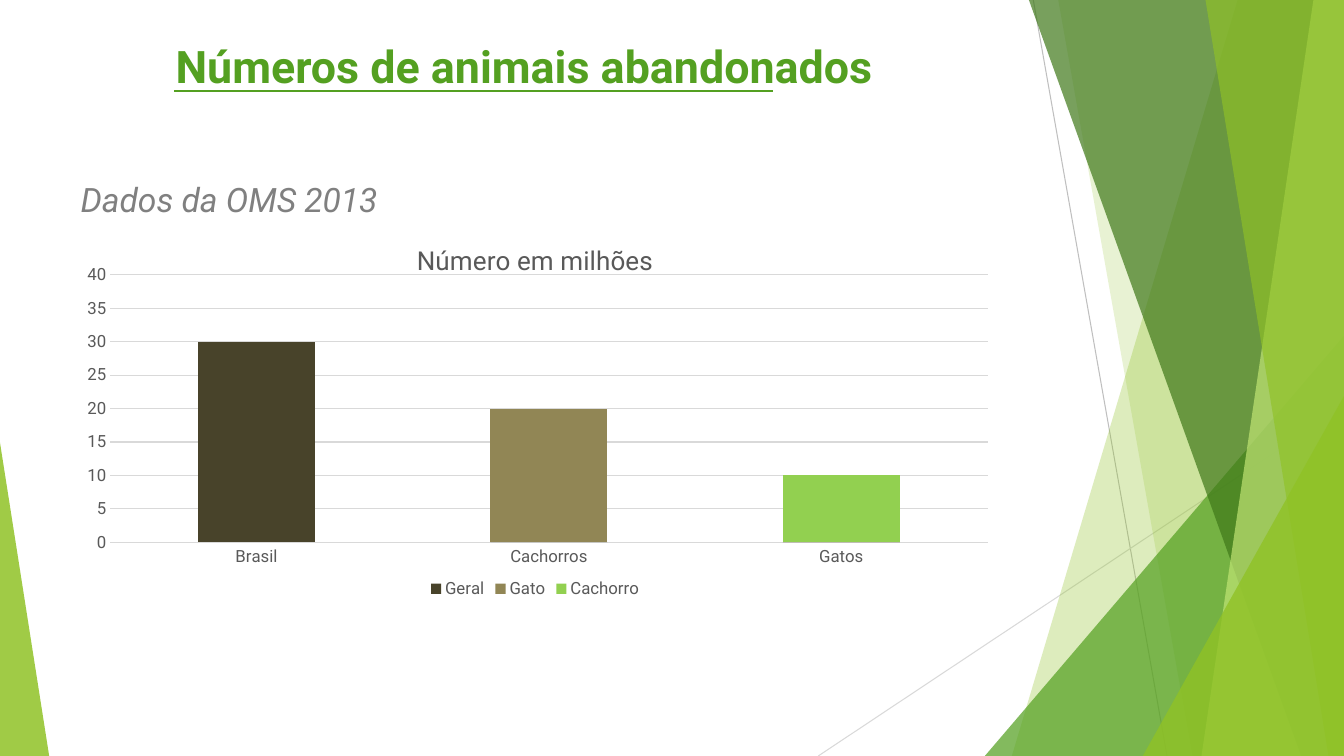
import dataclasses

import pptx
import pptx.chart.data
import pptx.dml.color
import pptx.enum.chart
import pptx.enum.shapes
import pptx.enum.text
import pptx.oxml
import pptx.oxml.ns
import pptx.util

Cm, Pt = pptx.util.Cm, pptx.util.Pt
WIDE, HIGH = 33.87, 19.05
FONT = "Roboto"
LIME, GREEN, GREY, PALE = "90C226", "54A021", "595959", "D9D9D9"


@dataclasses.dataclass
class Shard:
    top: float
    foot: float
    hue: str
    alpha: int


@dataclasses.dataclass
class Wedge:
    left: float
    top: float
    width: float
    tip: float
    hue: str
    alpha: int


@dataclasses.dataclass
class Rule:
    start: tuple[float, float]
    end: tuple[float, float]
    hue: str
    weight: float


RULES = [
    Rule((26.04, 0), (29.41, HIGH), "BFBFBF", 0.75),
    Rule((WIDE, 10.24), (20.62, HIGH), PALE, 0.75),
]
FACETS = [
    Shard(31.19, 25.5, LIME, 30),
    Shard(26.67, 30.05, LIME, 20),
    Wedge(24.82, 8.46, 9.05, 1, GREEN, 72),
    Shard(25.93, 32.79, "3F7819", 70),
    Shard(33.1, 30.28, "C0E474", 70),
    Shard(30.38, 33.48, LIME, 65),
    Wedge(28.8, 9.98, 5.07, 1, LIME, 80),
    Wedge(0, 11.15, 1.24, 0, LIME, 85),
]
SERIES = [
    ("Geral", (30, 0, 0), "48432A"),
    ("Gato", (0, 20, 0), "918655"),
    ("Cachorro", (0, 0, 10), "92D050"),
]


def paint(form, hue: str) -> None:
    form.solid()
    form.fore_color.rgb = pptx.dml.color.RGBColor.from_string(hue)


def style(font, size: float, hue: str) -> None:
    font.name, font.size = FONT, Pt(size)
    font.bold = font.italic = False
    paint(font.fill, hue)


def add_rule(slide, rule: Rule) -> None:
    ends = [Cm(n) for n in rule.start + rule.end]
    line = slide.shapes.add_connector(pptx.enum.shapes.MSO_CONNECTOR.STRAIGHT, *ends)
    paint(line.line.fill, rule.hue)
    line.line.width = Pt(rule.weight)
    pptx.oxml.ns.qn("a:effectLst")
    props = line.element.xpath("p:spPr")[0]
    props.append(props.makeelement(pptx.oxml.ns.qn("a:effectLst"), {}))


def add_facet(slide, facet: Shard | Wedge) -> None:
    if isinstance(facet, Shard):
        rest = [(WIDE, 0), (WIDE, HIGH), (facet.foot, HIGH)]
        pen = slide.shapes.build_freeform(Cm(facet.top), 0)
        pen.add_line_segments([(Cm(x), Cm(y)) for x, y in rest])
        shape = pen.convert_to_shape()
    else:
        shape = slide.shapes.add_shape(
            pptx.enum.shapes.MSO_SHAPE.ISOSCELES_TRIANGLE,
            Cm(facet.left), Cm(facet.top), Cm(facet.width), Cm(HIGH - facet.top))
        shape.adjustments[0] = facet.tip
    shape.shadow.inherit = False
    shape.line.fill.background()
    paint(shape.fill, facet.hue)
    tint = shape.element.xpath("p:spPr/a:solidFill/a:srgbClr")[0]
    alpha = tint.makeelement(pptx.oxml.ns.qn("a:alpha"), {"val": str(facet.alpha * 1000)})
    tint.append(alpha)


def write(shape, text: str, size: float, hue: str):
    frame = shape.text_frame
    frame.word_wrap = True
    frame.auto_size = pptx.enum.text.MSO_AUTO_SIZE.NONE
    frame.vertical_anchor = pptx.enum.text.MSO_ANCHOR.TOP
    frame.text = text
    para = frame.paragraphs[0]
    para.alignment = pptx.enum.text.PP_ALIGN.LEFT
    style(para.font, size, hue)
    return para


def place_plot(chart, x: float, y: float, w: float, h: float) -> None:
    area = chart.element.xpath("c:chart/c:plotArea")[0]
    for old in area.xpath("c:layout"):
        area.remove(old)
    spots = "".join(f'<c:{k} val="{v}"/>' for k, v in zip("xywh", (x, y, w, h)))
    area.insert(0, pptx.oxml.parse_xml(
        f'<c:layout {pptx.oxml.ns.nsdecls("c")}><c:manualLayout>'
        '<c:layoutTarget val="inner"/><c:xMode val="edge"/><c:yMode val="edge"/>'
        f'{spots}</c:manualLayout></c:layout>'))


def add_graph(slide) -> None:
    kinds = pptx.enum.chart
    data = pptx.chart.data.CategoryChartData()
    data.categories = ["Brasil", "Cachorros", "Gatos"]
    for name, vals, _ in SERIES:
        data.add_series(name, vals)
    chart = slide.shapes.add_chart(
        kinds.XL_CHART_TYPE.COLUMN_STACKED,
        Cm(1.85), Cm(5.69), Cm(23.27), Cm(9.5), data).chart
    style(chart.font, 12, GREY)
    chart.has_title = True
    head = chart.chart_title.text_frame
    head.text = "Número em milhões"
    style(head.paragraphs[0].font, 18.6, GREY)
    chart.has_legend = True
    chart.legend.position = kinds.XL_LEGEND_POSITION.BOTTOM
    chart.legend.include_in_layout = False
    style(chart.legend.font, 12, GREY)
    plot = chart.plots[0]
    plot.gap_width, plot.overlap = 150, 100
    plot.vary_by_categories = False
    for bar, (_, _, hue) in zip(plot.series, SERIES):
        paint(bar.format.fill, hue)
    for axis in (chart.category_axis, chart.value_axis):
        axis.major_tick_mark = axis.minor_tick_mark = kinds.XL_TICK_MARK.NONE
        style(axis.tick_labels.font, 12, GREY)
    scale = chart.value_axis
    scale.minimum_scale, scale.maximum_scale, scale.major_unit = 0, 40, 5
    scale.format.line.fill.background()
    for line in (chart.category_axis.format.line, scale.major_gridlines.format.line):
        paint(line.fill, PALE)
        line.width = Pt(0.75)
    place_plot(chart, 0.04, 0.13, 0.95, 0.71)


def main() -> None:
    deck = pptx.Presentation()
    deck.slide_width, deck.slide_height = Cm(WIDE), Cm(HIGH)
    slide = deck.slides.add_slide(deck.slide_layouts.get_by_name("Title Only"))
    for rule in RULES:
        add_rule(slide, rule)
    for facet in FACETS:
        add_facet(slide, facet)
    title = slide.shapes.title
    title.left, title.top, title.width, title.height = Cm(4.17), Cm(0.84), Cm(19.89), Cm(1.45)
    write(title, "Números de animais abandonados", 32, GREEN).font.bold = True
    add_graph(slide)
    note = slide.shapes.add_textbox(Cm(1.78), Cm(4.57), Cm(29.62), Cm(1.09))
    para = write(note, "Dados da OMS 2013", 24, "808080")
    para.font.italic = True
    para.line_spacing, para.space_before = 0.8, Pt(10)
    add_rule(slide, Rule((4.39, 2.29), (19.48, 2.29), GREEN, 1.5))
    deck.save("out.pptx")


main()
